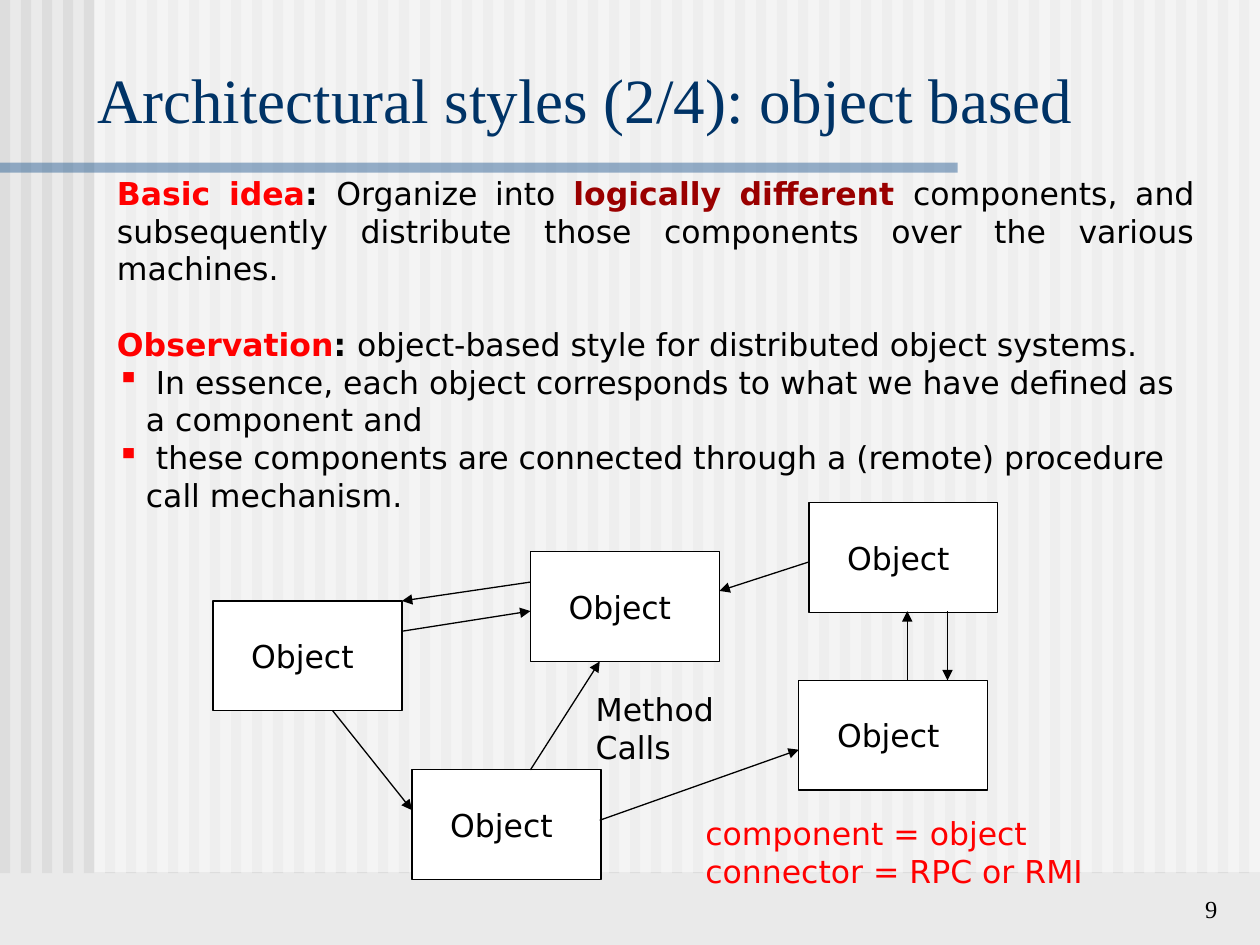
"""Build the slide on the object-based architectural style."""
from dataclasses import dataclass
from typing import NamedTuple

from lxml.etree import SubElement
from pptx import Presentation
from pptx.dml.color import RGBColor
from pptx.enum.shapes import MSO_CONNECTOR as Connector, MSO_SHAPE as Shape
from pptx.enum.text import MSO_ANCHOR as Anchor, MSO_AUTO_SIZE as AutoSize, PP_ALIGN as Align
from pptx.oxml.ns import qn
from pptx.util import Inches, Pt

BLACK = RGBColor(0x00, 0x00, 0x00)
WHITE = RGBColor(0xFF, 0xFF, 0xFF)
RED = RGBColor(0xFF, 0x00, 0x00)
DARK_RED = RGBColor(0x9A, 0x00, 0x00)
NAVY = RGBColor(0x00, 0x33, 0x66)
BLUE = RGBColor(0x33, 0x66, 0x99)
PAPER = RGBColor(0xEA, 0xEA, 0xEA)
STRIPE = RGBColor(0xDD, 0xDD, 0xDD)
SANS = "DejaVu Sans"
SERIF = "Times New Roman"
STRIPE_COUNT = 60
BOX_SIZE = (1.5, 0.87)


class Area(NamedTuple):
    left: float
    top: float
    width: float
    height: float


class Call(NamedTuple):
    start: tuple[float, float]
    end: tuple[float, float]


@dataclass
class Span:
    text: str
    color: RGBColor = BLACK
    bold: bool = False


@dataclass
class Paragraph:
    spans: list[Span]
    align: Align = Align.LEFT
    before: float = 0
    bullet: bool = False


BODY = [
    Paragraph([
        Span("Basic idea", RED, True),
        Span(": ", bold=True),
        Span("Organize into "),
        Span("logically different ", DARK_RED, True),
        Span("components, and subsequently distribute those components "
             "over the various machines."),
    ], align=Align.JUSTIFY),
    Paragraph([
        Span("Observation", RED, True),
        Span(": ", bold=True),
        Span("object-based style for distributed object systems."),
    ], before=21.5),
    Paragraph([Span(" In essence, each object corresponds to what we have "
                    "defined as a component and")], bullet=True),
    Paragraph([Span(" these components are connected through a (remote) "
                    "procedure call mechanism.")], bullet=True),
]
OBJECTS = [(1.69, 4.77), (3.27, 6.11), (4.21, 4.38), (6.34, 5.4), (6.42, 3.99)]
CALLS = [
    Call((2.64, 5.64), (3.27, 6.43)),
    Call((4.76, 6.51), (6.34, 5.95)),
    Call((4.21, 6.11), (4.76, 5.25)),
    Call((3.19, 5.01), (4.21, 4.85)),
    Call((4.21, 4.62), (3.19, 4.77)),
    Call((7.2, 5.4), (7.2, 4.85)),
    Call((7.52, 4.85), (7.52, 5.4)),
    Call((6.42, 4.46), (5.71, 4.69)),
]


def add_span(para, text: str, *, size: float = 18, font: str = SANS,
             color: RGBColor = BLACK, bold: bool = False) -> None:
    for number, line in enumerate(text.split("\n")):
        if number:
            para.add_line_break()
        span = para.add_run()
        span.text = line
        span.font.size = Pt(size)
        span.font.name = font
        span.font.bold = bold
        span.font.color.rgb = color


def add_bullet(para) -> None:
    props = para._p.get_or_add_pPr()
    props.set("marL", str(Inches(0.23)))
    props.set("indent", str(-Inches(0.23)))
    color = SubElement(props, qn("a:buClr"))
    SubElement(color, qn("a:srgbClr"), val=str(RED))
    SubElement(props, qn("a:buChar"), char="▪")


def add_rect(shapes, area: Area, color: RGBColor, opacity: int = 100):
    rect = shapes.add_shape(Shape.RECTANGLE, *map(Inches, area))
    rect.shadow.inherit = False
    rect.fill.solid()
    rect.fill.fore_color.rgb = color
    rect.line.fill.background()
    if opacity < 100:
        tone = rect.element.spPr.find(qn("a:solidFill"))[0]
        SubElement(tone, qn("a:alpha"), val=str(opacity * 1000))
    return rect


def add_text_box(page, area: Area):
    box = page.shapes.add_textbox(*map(Inches, area))
    box.text_frame.word_wrap = True
    return box.text_frame


def add_backdrop(page) -> None:
    page.background.fill.solid()
    page.background.fill.fore_color.rgb = PAPER
    backdrop = page.shapes.add_group_shape()
    for number in range(STRIPE_COUNT):
        add_rect(backdrop.shapes, Area(number / 6, -0.57, 0.08, 7.5), STRIPE)
    add_rect(backdrop.shapes, Area(0.75, -0.58, 9.26, 7.5), WHITE, 50)
    add_rect(backdrop.shapes, Area(0, 1.29, 7.6, 0.08), BLUE, 50)
    page.shapes.element.append(page.shapes.title.element)


def format_title(title, area: Area, text: str) -> None:
    title.left, title.top, title.width, title.height = map(Inches, area)
    frame = title.text_frame
    frame.auto_size = AutoSize.NONE
    frame.vertical_anchor = Anchor.BOTTOM
    frame.paragraphs[0].alignment = Align.LEFT
    add_span(frame.paragraphs[0], text, size=36, font=SERIF, color=NAVY)


def add_object(page, left: float, top: float) -> None:
    box = add_rect(page.shapes, Area(left, top, *BOX_SIZE), WHITE)
    box.line.color.rgb = BLACK
    box.line.width = Pt(0.75)
    frame = box.text_frame
    frame.word_wrap = False
    frame.vertical_anchor = Anchor.MIDDLE
    frame.paragraphs[0].alignment = Align.CENTER
    add_span(frame.paragraphs[0], "Object ")


def add_call(page, call: Call) -> None:
    arrow = page.shapes.add_connector(
        Connector.STRAIGHT, *map(Inches, call.start + call.end))
    arrow.line.color.rgb = BLACK
    arrow.line.width = Pt(0.75)
    props = arrow.element.spPr
    SubElement(props.find(qn("a:ln")), qn("a:tailEnd"), type="triangle")
    SubElement(props, qn("a:effectLst"))


def add_body(page, area: Area, content: list[Paragraph]) -> None:
    frame = add_text_box(page, area)
    for number, item in enumerate(content):
        para = frame.add_paragraph() if number else frame.paragraphs[0]
        para.alignment = item.align
        if item.before:
            para.space_before = Pt(item.before)
        if item.bullet:
            add_bullet(para)
        for span in item.spans:
            add_span(para, span.text, color=span.color, bold=span.bold)


def main() -> None:
    deck = Presentation()
    deck.slide_width, deck.slide_height = Inches(10), Inches(7.5)
    page = deck.slides.add_slide(deck.slide_layouts[5])
    add_backdrop(page)
    format_title(page.shapes.title, Area(0.67, 0.42, 8.93, 0.71),
                 "Architectural styles (2/4): object based")
    number = add_text_box(page, Area(7.68, 6.88, 2.08, 0.5))
    number.vertical_anchor = Anchor.BOTTOM
    number.paragraphs[0].alignment = Align.RIGHT
    add_span(number.paragraphs[0], "9", size=14, font=SERIF)
    for left, top in OBJECTS:
        add_object(page, left, top)
    for call in CALLS:
        add_call(page, call)
    label = add_text_box(page, Area(4.63, 5.43, 1.73, 0.4))
    add_span(label.paragraphs[0], "Method Calls")
    add_body(page, Area(0.83, 1.33, 8.75, 3.1), BODY)
    summary = add_text_box(page, Area(5.5, 6.41, 4.25, 0.7))
    add_span(summary.paragraphs[0], "component = object\nconnector = RPC or RMI", color=RED)
    deck.save("out.pptx")


if __name__ == "__main__":
    main()
